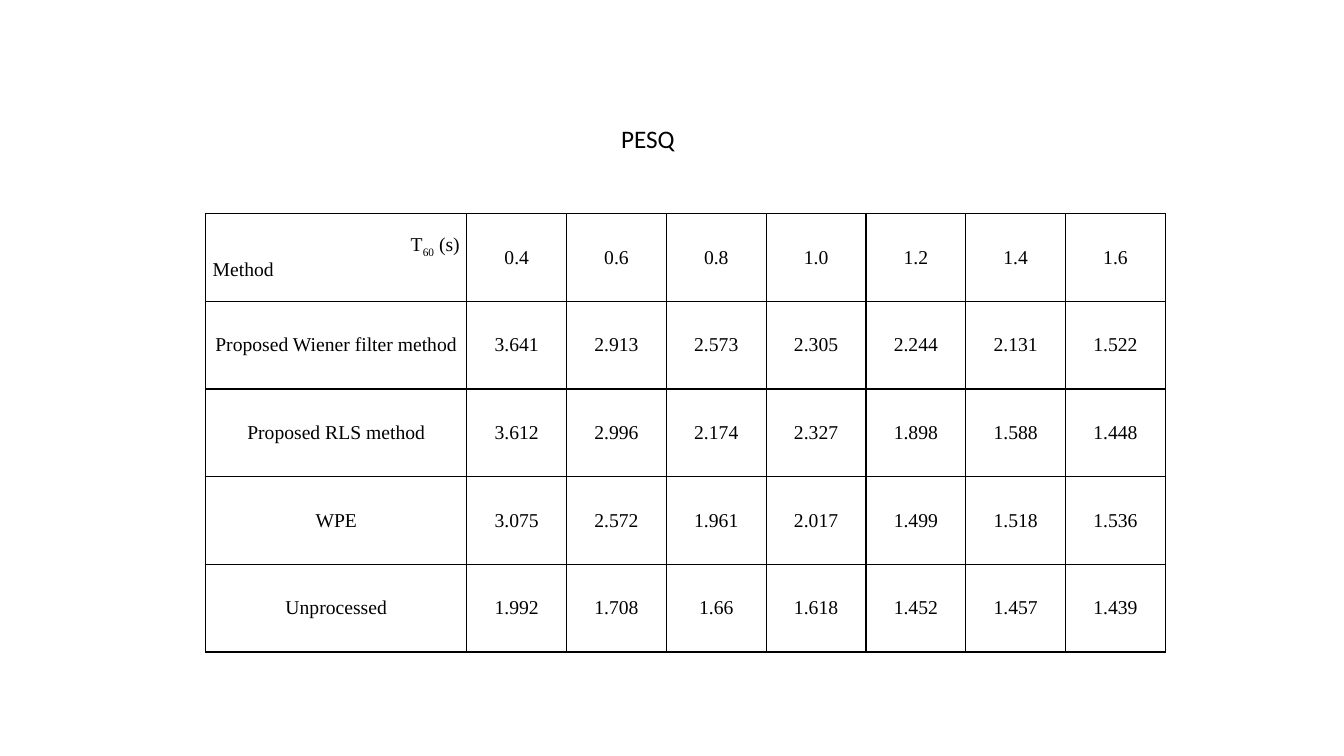
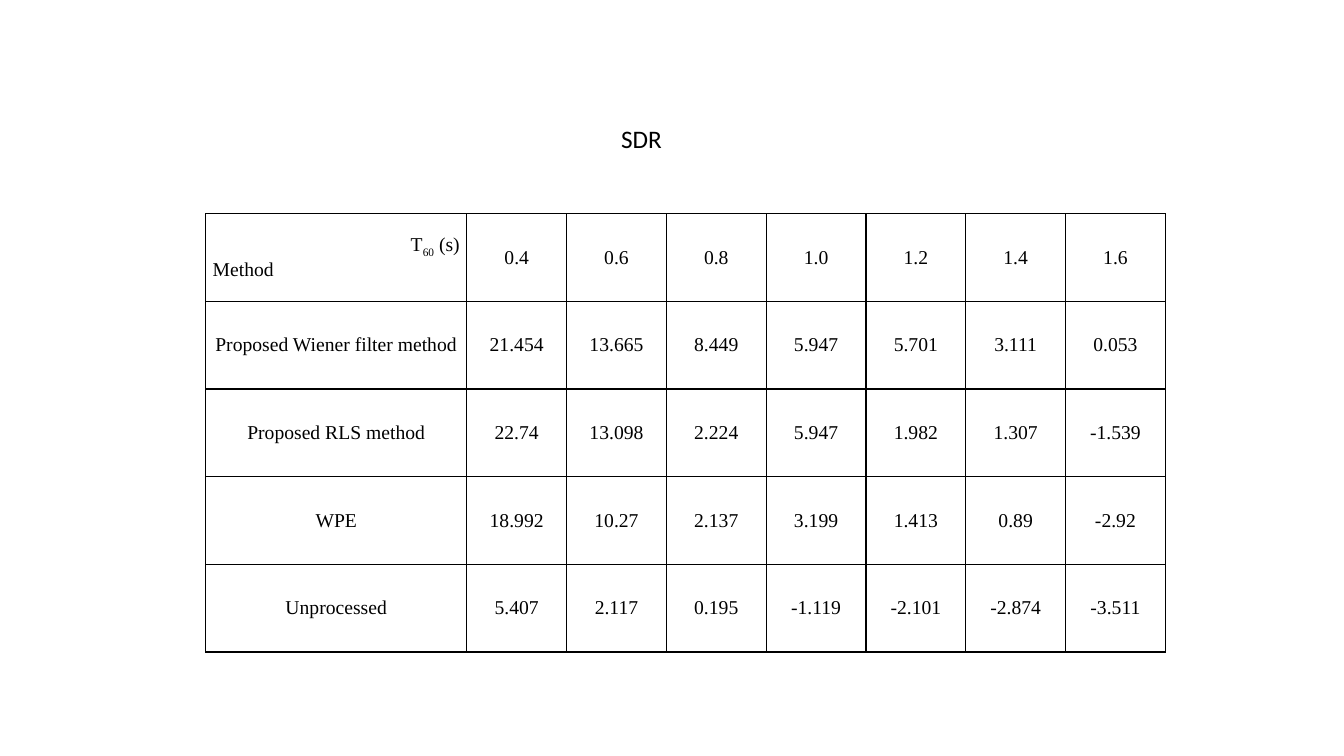
"""Build two slides that compare dereverberation methods by PESQ and SDR."""

from dataclasses import dataclass

from lxml.etree import SubElement
from pptx import Presentation
from pptx.dml.color import RGBColor
from pptx.enum.text import MSO_ANCHOR, MSO_AUTO_SIZE, PP_ALIGN
from pptx.oxml import parse_xml
from pptx.oxml.ns import nsdecls, qn
from pptx.util import Emu, Pt

SCALE = 9144
COLORS = {"ink": "000000", "paper": "FFFFFF"}
SLIDE_W, SLIDE_H = 1333, 750
TABLE_X, TABLE_Y = 204, 212
METHOD_W, VALUE_W, ROW_H = 259, 99, 87
TITLE_X, TITLE_Y, TITLE_H = 606, 117, 40
TITLE_FONT = {"name": "Calibri", "size": Pt(18), "bold": False}
CELL_FONT = {"name": "Times New Roman", "size": Pt(14), "bold": False}
TIMES = ("0.4", "0.6", "0.8", "1.0", "1.2", "1.4", "1.6")
METHODS = ("Proposed Wiener filter method", "Proposed RLS method", "WPE", "Unprocessed")


@dataclass(frozen=True)
class Measure:
    """A quality measure with one row of values per method."""

    title: str
    title_w: int
    rows: tuple[str, ...]


MEASURES = (
    Measure("PESQ", 74, (
        "3.641 2.913 2.573 2.305 2.244 2.131 1.522",
        "3.612 2.996 2.174 2.327 1.898 1.588 1.448",
        "3.075 2.572 1.961 2.017 1.499 1.518 1.536",
        "1.992 1.708 1.66 1.618 1.452 1.457 1.439",
    )),
    Measure("SDR", 61, (
        "21.454 13.665 8.449 5.947 5.701 3.111 0.053",
        "22.74 13.098 2.224 5.947 1.982 1.307 -1.539",
        "18.992 10.27 2.137 3.199 1.413 0.89 -2.92",
        "5.407 2.117 0.195 -1.119 -2.101 -2.874 -3.511",
    )),
)


def px(n: int) -> Emu:
    """Turn px into EMU."""
    return Emu(n * SCALE)


def apply(target, formats: dict) -> None:
    """Set each attribute in formats on target."""
    for name, value in formats.items():
        setattr(target, name, value)


def add_run(p, text: str, font: dict, baseline: int = 0) -> None:
    """Add a formatted run to a paragraph."""
    r = p.add_run()
    r.text = text
    apply(r.font, font)
    r.font.color.rgb = RGBColor.from_string(COLORS["ink"])
    if baseline:
        r.font._element.set("baseline", str(baseline))


def add_borders(cell) -> None:
    """Draw a thin line on each side of a cell."""
    tc_pr = cell._tc.get_or_add_tcPr()
    for i, side in enumerate(("lnL", "lnR", "lnT", "lnB")):
        ln = parse_xml(f'<a:{side} {nsdecls("a")} w="{Pt(1)}"/>')
        fill = SubElement(ln, qn("a:solidFill"))
        SubElement(fill, qn("a:srgbClr"), val=COLORS["ink"])
        tc_pr.insert(i, ln)


def style_cell(cell) -> None:
    """Set the margins, anchor, fill and borders of a cell."""
    apply(cell, {
        "margin_left": px(7), "margin_right": px(7),
        "margin_top": 0, "margin_bottom": 0,
        "vertical_anchor": MSO_ANCHOR.MIDDLE,
    })
    cell.fill.solid()
    cell.fill.fore_color.rgb = RGBColor.from_string(COLORS["paper"])
    add_borders(cell)


def write_corner(cell) -> None:
    """Write the two headings of the corner cell."""
    tf = cell.text_frame
    p = tf.paragraphs[0]
    p.alignment = PP_ALIGN.RIGHT
    for text, baseline in (("T", 0), ("60", -25000), (" (s)", 0)):
        add_run(p, text, CELL_FONT, baseline)
    p = tf.add_paragraph()
    p.alignment = PP_ALIGN.LEFT
    add_run(p, "Method", CELL_FONT)


def add_title(s, measure: Measure) -> None:
    """Place and format the slide title."""
    sp = s.shapes.title
    apply(sp, {"left": px(TITLE_X), "top": px(TITLE_Y),
               "width": px(measure.title_w), "height": px(TITLE_H)})
    tf = sp.text_frame
    apply(tf, {"word_wrap": False, "auto_size": MSO_AUTO_SIZE.SHAPE_TO_FIT_TEXT,
               "vertical_anchor": MSO_ANCHOR.TOP})
    p = tf.paragraphs[0]
    p.alignment = PP_ALIGN.LEFT
    add_run(p, measure.title, TITLE_FONT)


def add_results(s, measure: Measure) -> None:
    """Add the table of values by method and reverberation time."""
    grid = [("", *TIMES)]
    grid += [(m, *row.split()) for m, row in zip(METHODS, measure.rows)]
    widths = [METHOD_W] + [VALUE_W] * len(TIMES)
    table = s.shapes.add_table(
        len(grid), len(widths), px(TABLE_X), px(TABLE_Y),
        px(sum(widths)), px(ROW_H * len(grid))).table
    apply(table, {"first_row": False, "horz_banding": False})
    for column, width in zip(table.columns, widths):
        column.width = px(width)
    for i, texts in enumerate(grid):
        table.rows[i].height = px(ROW_H)
        for j, text in enumerate(texts):
            cell = table.cell(i, j)
            style_cell(cell)
            if not text:
                write_corner(cell)
                continue
            p = cell.text_frame.paragraphs[0]
            p.alignment = PP_ALIGN.CENTER
            add_run(p, text, CELL_FONT)


def main() -> None:
    """Build and save the presentation."""
    prs = Presentation()
    apply(prs, {"slide_width": px(SLIDE_W), "slide_height": px(SLIDE_H)})
    layout = prs.slide_layouts.get_by_name("Title Only")
    for measure in MEASURES:
        s = prs.slides.add_slide(layout)
        add_title(s, measure)
        add_results(s, measure)
    prs.save("out.pptx")


if __name__ == "__main__":
    main()
